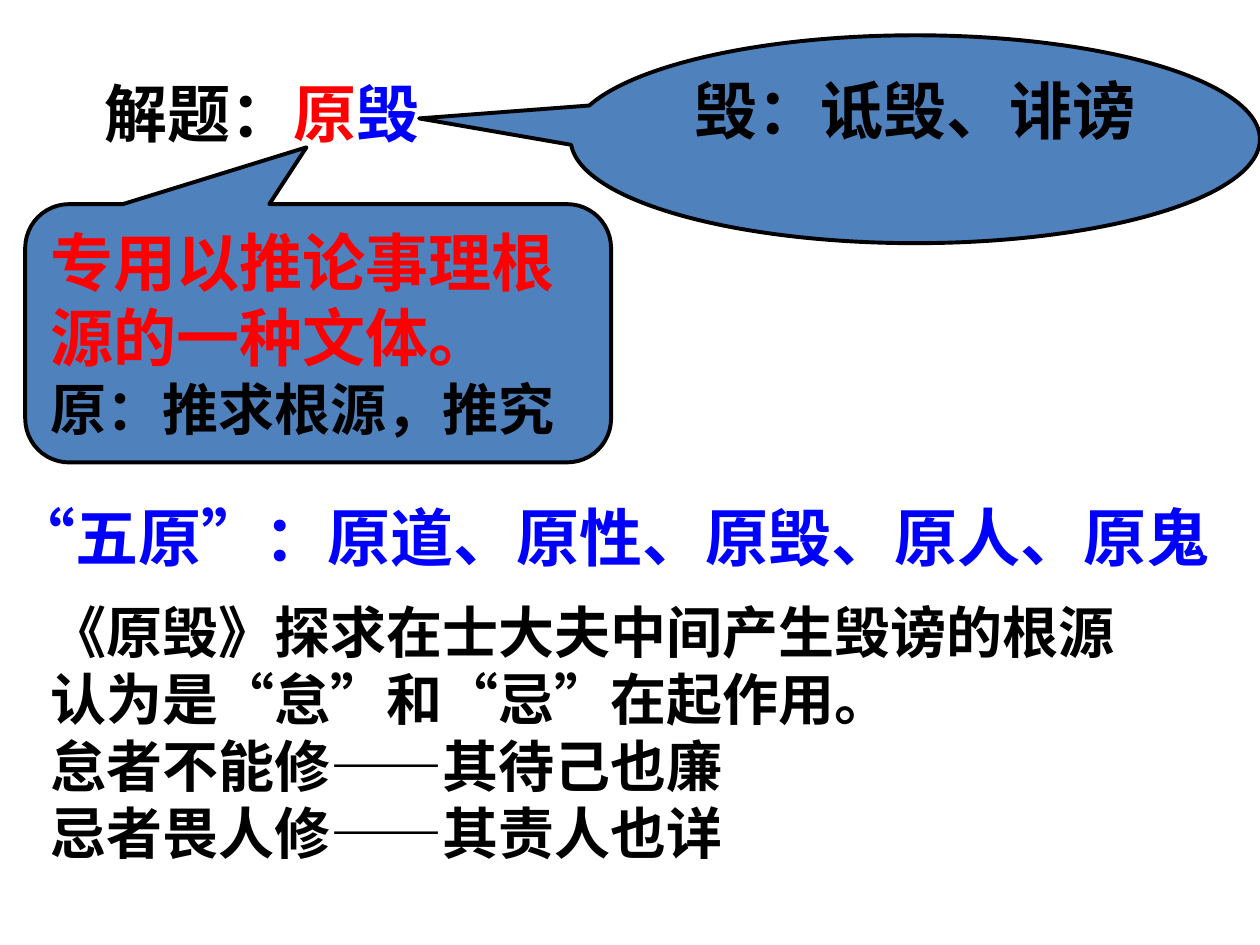
from pptx import Presentation
from pptx import util as u
from pptx.dml.color import RGBColor
from pptx.enum import lang, shapes, text

PX = 9144  # 100 px to the inch
BLACK = RGBColor(0, 0, 0)
RED = RGBColor(255, 0, 0)
BLUE = RGBColor(0, 0, 255)
FILL = RGBColor(0x4F, 0x81, 0xBD)
NOTO = "Noto Sans CJK TC"


def write(p, runs, size):
    """Fill a paragraph with bold runs of (words, font, colour)."""
    for words, name, color in runs:
        r = p.add_run()
        r.text = words
        r.font.size, r.font.bold, r.font.name = u.Pt(size), True, name
        r.font.color.rgb = color
        r.font.language_id = lang.MSO_LANGUAGE_ID.SIMPLIFIED_CHINESE


def add_callout(kind, box, adjustments):
    sp = s.shapes.add_shape(kind, *(v * PX for v in box))
    sp.shadow.inherit = False
    sp.fill.solid()
    sp.fill.fore_color.rgb = FILL
    sp.line.color.rgb = BLACK
    sp.line.width = u.Pt(2.25)
    for i, value in enumerate(adjustments):
        sp.adjustments[i] = value
    sp.text_frame.vertical_anchor = text.MSO_ANCHOR.TOP
    return sp.text_frame


prs = Presentation()
prs.slide_width, prs.slide_height = 1000 * PX, 750 * PX
s = prs.slides.add_slide(prs.slide_layouts[5])

# The five essays
sp = s.shapes.add_textbox(0, 391 * PX, 970 * PX, 70 * PX)
tf = sp.text_frame
tf.word_wrap = False
write(tf.paragraphs[0], [
    ("“", NOTO, BLUE),
    ("五原", "Calibri", BLUE),
    ("”", NOTO, BLUE),
    ("：原道、原性、原毁、原人、原鬼", "Calibri", BLUE),
], 36)

# Title, with no right inset so that it stays on one line
title = s.shapes.title
title.left, title.top, title.width, title.height = (v * PX for v in (73, 54, 270, 70))
tf = title.text_frame
tf.word_wrap = False
tf.margin_right = 0
tf.auto_size = text.MSO_AUTO_SIZE.NONE
tf.vertical_anchor = text.MSO_ANCHOR.TOP
p = tf.paragraphs[0]
p.alignment = text.PP_ALIGN.LEFT
write(p, [("解题：", "Calibri", BLACK), ("原", "Calibri", RED), ("毁", "Calibri", BLUE)], 36)

# Callout on the first character
tf = add_callout(shapes.MSO_SHAPE.ROUNDED_RECTANGULAR_CALLOUT,
                 (20, 162, 465, 205), (-0.02, -0.72, 0.17))
for words, size, color in (("专用以推论事理根源的一种文体。", 36, RED),
                           ("原：推求根源，推究", 32, BLACK)):
    p = tf.paragraphs[0] if size == 36 else tf.add_paragraph()
    p.alignment = text.PP_ALIGN.LEFT
    write(p, [(words, NOTO, color)], size)

# Callout on the second character
tf = add_callout(shapes.MSO_SHAPE.OVAL_CALLOUT, (453, 28, 547, 165), (-0.72, -0.1))
p = tf.paragraphs[0]
p.alignment = text.PP_ALIGN.CENTER
pPr = p._p.get_or_add_pPr()
pPr.set("marL", str(38 * PX))
pPr.set("indent", str(-38 * PX))
write(p, [("毁：诋毁、诽谤", "Arial", BLACK)], 36)

# Explanation
sp = s.shapes.add_textbox(30 * PX, 469 * PX, 970 * PX, 226 * PX)
tf = sp.text_frame
tf.word_wrap = True
lines = (
    "《原毁》探求在士大夫中间产生毁谤的根源",
    "认为是“怠”和“忌”在起作用。",
    "怠者不能修——其待己也廉",
    "忌者畏人修——其责人也详",
)
for i, line in enumerate(lines):
    p = tf.add_paragraph() if i else tf.paragraphs[0]
    write(p, [(line, "Arial", BLACK)], 32)

prs.save("out.pptx")
